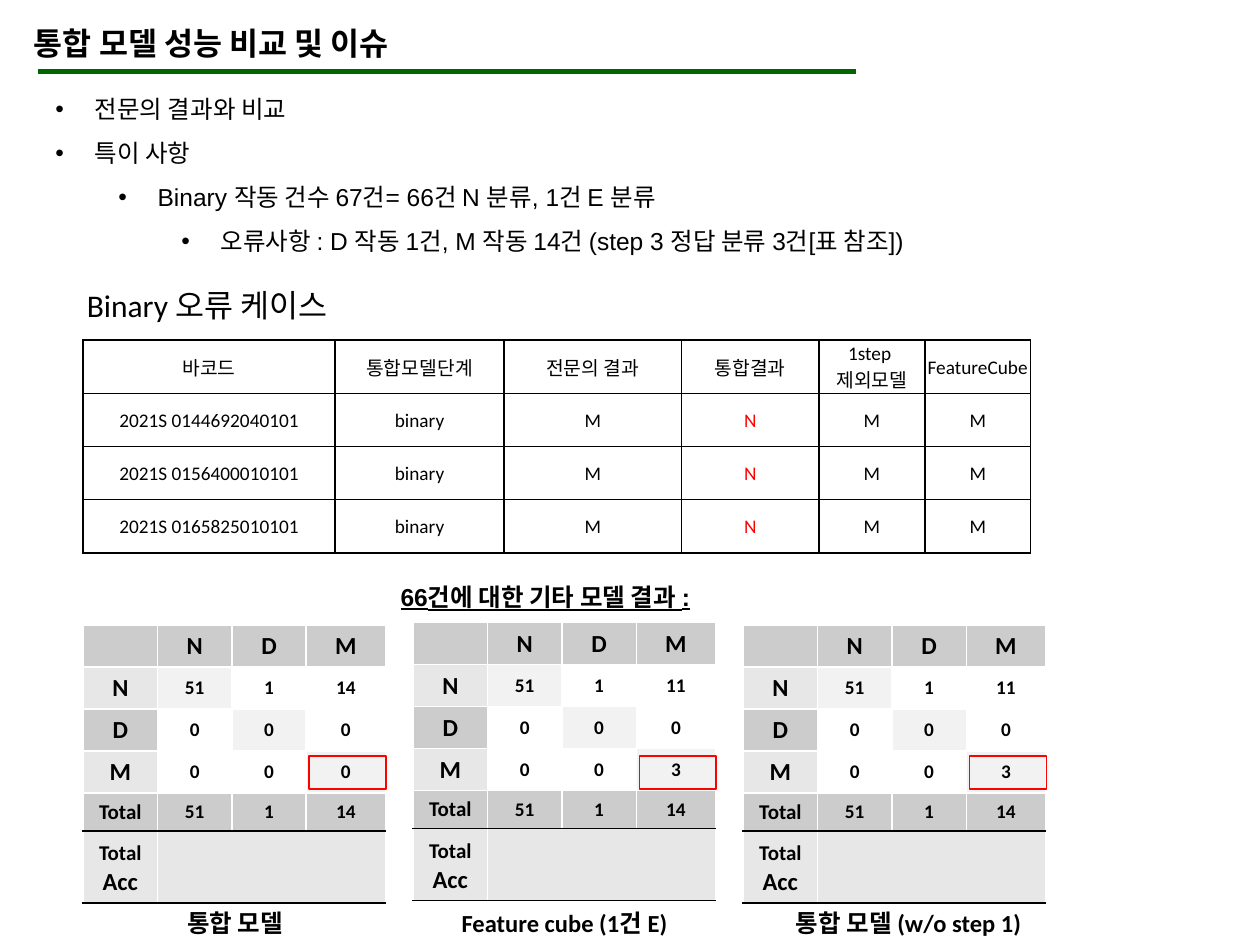
from lxml import etree
from pptx import Presentation
from pptx.dml.color import RGBColor
from pptx.enum.shapes import MSO_CONNECTOR, MSO_SHAPE
from pptx.enum.text import MSO_ANCHOR, PP_ALIGN
from pptx.oxml.ns import qn
from pptx.util import Pt

LEFT, CENTER = PP_ALIGN.LEFT, PP_ALIGN.CENTER
TOP, MIDDLE = MSO_ANCHOR.TOP, MSO_ANCHOR.MIDDLE
RECTANGLE, STRAIGHT = MSO_SHAPE.RECTANGLE, MSO_CONNECTOR.STRAIGHT
TITLE_ONLY = 5

BLACK, WHITE, RED, GREEN = "000000", "FFFFFF", "FF0000", "006600"
DARK_GRAY, LIGHT_GRAY, PALE_GRAY = "CCCCCC", "E7E7E7", "F2F2F2"

BULLETS = [
    (0, "전문의 결과와 비교"),
    (0, "특이 사항"),
    (1, "Binary 작동 건수 67건= 66건 N 분류, 1건 E 분류"),
    (2, "오류사항 : D 작동 1건, M 작동 14건 (step 3 정답 분류 3건[표 참조])"),
]
CASE_COLUMNS = [144, 96.5, 101.5, 78.5, 60.5, 60.5]
CASE_HEADER = ["바코드", "통합모델단계", "전문의 결과", "통합결과",
               "1step \v제외모델", "FeatureCube"]
BARCODES = ["2021S 0144692040101", "2021S 0156400010101", "2021S 0165825010101"]
RESULT_COLUMN = 3

MATRIX_COLUMNS = [42.5, 42.5, 42.5, 45.3]
MATRIX_ROWS = [24, 24, 24, 24, 21.6, 41]
MATRIX_LEFT, MATRIX_STEP = 47.5, 188.6
# caption, caption left, caption width, table top, N judged as M, M judged as M
MODELS = [
    ("통합 모델", 76.3, 116, 357.1, 14, 0),
    ("Feature cube (1건 E)", 244.8, 155.5, 355.7, 11, 3),
    ("통합 모델 (w/o step 1)", 440.6, 157, 357.1, 11, 3),
]


def rgb(value):
    return RGBColor.from_string(value)


def format_runs(paragraph, size, font="Calibri", color=BLACK, bold=False,
                underline=False):
    for run in paragraph.runs:
        run.font.size = Pt(size)
        run.font.name = font
        run.font.bold = bold
        run.font.color.rgb = rgb(color)
        if underline:
            run.font.underline = True


def set_indent(paragraph, margin, hanging=0, bullet=None):
    properties = paragraph._p.get_or_add_pPr()
    properties.set("marL", str(Pt(margin)))
    properties.set("indent", str(-Pt(hanging)))
    if bullet:
        etree.SubElement(properties, qn("a:buFont")).set("typeface", "Arial")
        etree.SubElement(properties, qn("a:buChar")).set("char", bullet)


def add_text(slide, box, text, size, align=LEFT, **style):
    frame = slide.shapes.add_textbox(*map(Pt, box)).text_frame
    frame.word_wrap = True
    frame.text = text
    paragraph = frame.paragraphs[0]
    paragraph.alignment = align
    format_runs(paragraph, size, **style)
    return paragraph


def add_title(slide, text):
    title = slide.shapes.title
    title.left, title.top, title.width, title.height = map(Pt, (12.2, 10, 424, 29))
    frame = title.text_frame
    frame.text = text
    frame.vertical_anchor = TOP
    frame.paragraphs[0].alignment = LEFT
    format_runs(frame.paragraphs[0], 18, bold=True)
    # Green rule under the title
    rule = slide.shapes.add_connector(STRAIGHT, Pt(21.6), Pt(41), Pt(489), Pt(41))
    rule.line.color.rgb = rgb(GREEN)
    rule.line.width = Pt(3)
    etree.SubElement(rule._element.spPr, qn("a:effectLst"))


def add_bullets(slide):
    box = slide.shapes.add_textbox(Pt(24.5), Pt(41.8), Pt(600), Pt(134.6))
    frame = box.text_frame
    frame.word_wrap = True
    frame.text = "\n".join(text for _, text in BULLETS)
    for paragraph, (level, _) in zip(frame.paragraphs, BULLETS):
        paragraph.level = level
        paragraph.line_spacing = 1.5
        set_indent(paragraph, 22.5 + 36 * level, 22.5, "•")
        format_runs(paragraph, 14, font="Arial")


def add_grid(slide, left, top, columns, rows):
    table = slide.shapes.add_table(len(rows), len(columns), Pt(left), Pt(top),
                                   Pt(sum(columns)), Pt(sum(rows))).table
    table.first_row = table.horz_banding = False
    for column, width in zip(table.columns, columns):
        column.width = Pt(width)
    for row, height in zip(table.rows, rows):
        row.height = Pt(height)
    return table


def set_borders(cell, sides, top, bottom):
    properties = cell._tc.get_or_add_tcPr()
    for tag, color in (("lnL", sides), ("lnR", sides), ("lnT", top), ("lnB", bottom)):
        line = etree.SubElement(properties, qn("a:" + tag), w=str(Pt(1)))
        fill = etree.SubElement(line, qn("a:solidFill"))
        etree.SubElement(fill, qn("a:srgbClr")).set("val", color)


def fill_cell(cell, text, size, **style):
    cell.text = text
    cell.vertical_anchor = MIDDLE
    paragraph = cell.text_frame.paragraphs[0]
    paragraph.alignment = CENTER
    format_runs(paragraph, size, **style)
    if not text:  # keeps an empty cell from stretching its row
        end = etree.SubElement(paragraph._p, qn("a:endParaRPr"))
        end.set("sz", str(size * 100))


def add_case_table(slide):
    table = add_grid(slide, 47.5, 194.4, CASE_COLUMNS, [30.4] * 4)
    rows = [CASE_HEADER] + [[code, "binary", "M", "N", "M", "M"] for code in BARCODES]
    for r, row in enumerate(rows):
        for c, text in enumerate(row):
            cell = table.cell(r, c)
            cell.margin_left = cell.margin_right = cell.margin_top = Pt(0.72)
            cell.margin_bottom = 0
            set_borders(cell, BLACK, BLACK, BLACK)
            cell.fill.background()
            wrong = r > 0 and c == RESULT_COLUMN
            fill_cell(cell, text, 11, color=RED if wrong else BLACK)


def matrix_fill(r, c):
    if r in (0, 4):
        return DARK_GRAY
    if r == 5:
        return LIGHT_GRAY
    if c == 0:
        return LIGHT_GRAY if r % 2 else DARK_GRAY
    return PALE_GRAY if r == c else WHITE


def add_matrix(slide, left, top, n_as_m, m_as_m):
    table = add_grid(slide, left, top, MATRIX_COLUMNS, MATRIX_ROWS)
    rows = [
        ["", "N", "D", "M"],
        ["N", "51", "1", str(n_as_m)],
        ["D", "0", "0", "0"],
        ["M", "0", "0", str(m_as_m)],
        ["Total", "51", "1", "14"],
        ["Total", "", "", ""],
    ]
    for r, row in enumerate(rows):
        for c, text in enumerate(row):
            cell = table.cell(r, c)
            set_borders(cell, WHITE, BLACK if r == 5 else WHITE,
                        BLACK if r >= 4 else WHITE)
            cell.fill.solid()
            cell.fill.fore_color.rgb = rgb(matrix_fill(r, c))
            size = 12 if text == "Total" else 14 if r == 0 or c == 0 else 11
            fill_cell(cell, text, size, bold=True)
    # Accuracy row: larger second word, one merged value cell
    accuracy = table.cell(5, 0).text_frame.paragraphs[0]
    accuracy.add_run().text = " Acc"
    format_runs(accuracy, 14, bold=True)
    accuracy.runs[0].font.size = Pt(12)
    table.cell(5, 1).merge(table.cell(5, 3))


def add_highlight(slide, left):
    frame = slide.shapes.add_shape(RECTANGLE, Pt(left), Pt(432), Pt(44), Pt(18.7))
    frame.shadow.inherit = False
    frame.fill.background()
    frame.line.color.rgb = rgb(RED)
    frame.line.width = Pt(1)


def main():
    deck = Presentation()
    deck.slide_width, deck.slide_height = Pt(720), Pt(540)
    slide = deck.slides.add_slide(deck.slide_layouts[TITLE_ONLY])

    # Title and findings
    add_title(slide, "통합 모델 성능 비교 및 이슈")
    add_bullets(slide)

    # Misclassified binary cases
    add_text(slide, (42.5, 159.8, 192, 29), "Binary 오류 케이스", 18)
    add_case_table(slide)

    # Confusion matrices of the three models
    heading = add_text(slide, (149.8, 320.4, 278, 29.5), "66건에 대한 기타 모델 결과 :",
                       14, font="Arial", bold=True, underline=True)
    heading.line_spacing = 1.5
    set_indent(heading, 72)
    for i, (caption, caption_left, width, top, n_as_m, m_as_m) in enumerate(MODELS):
        left = MATRIX_LEFT + i * MATRIX_STEP
        add_matrix(slide, left, top, n_as_m, m_as_m)
        add_text(slide, (caption_left, 515.5, width, 24.5), caption, 14, CENTER, bold=True)
        add_highlight(slide, left + 129.3)

    deck.save("out.pptx")


if __name__ == "__main__":
    main()
